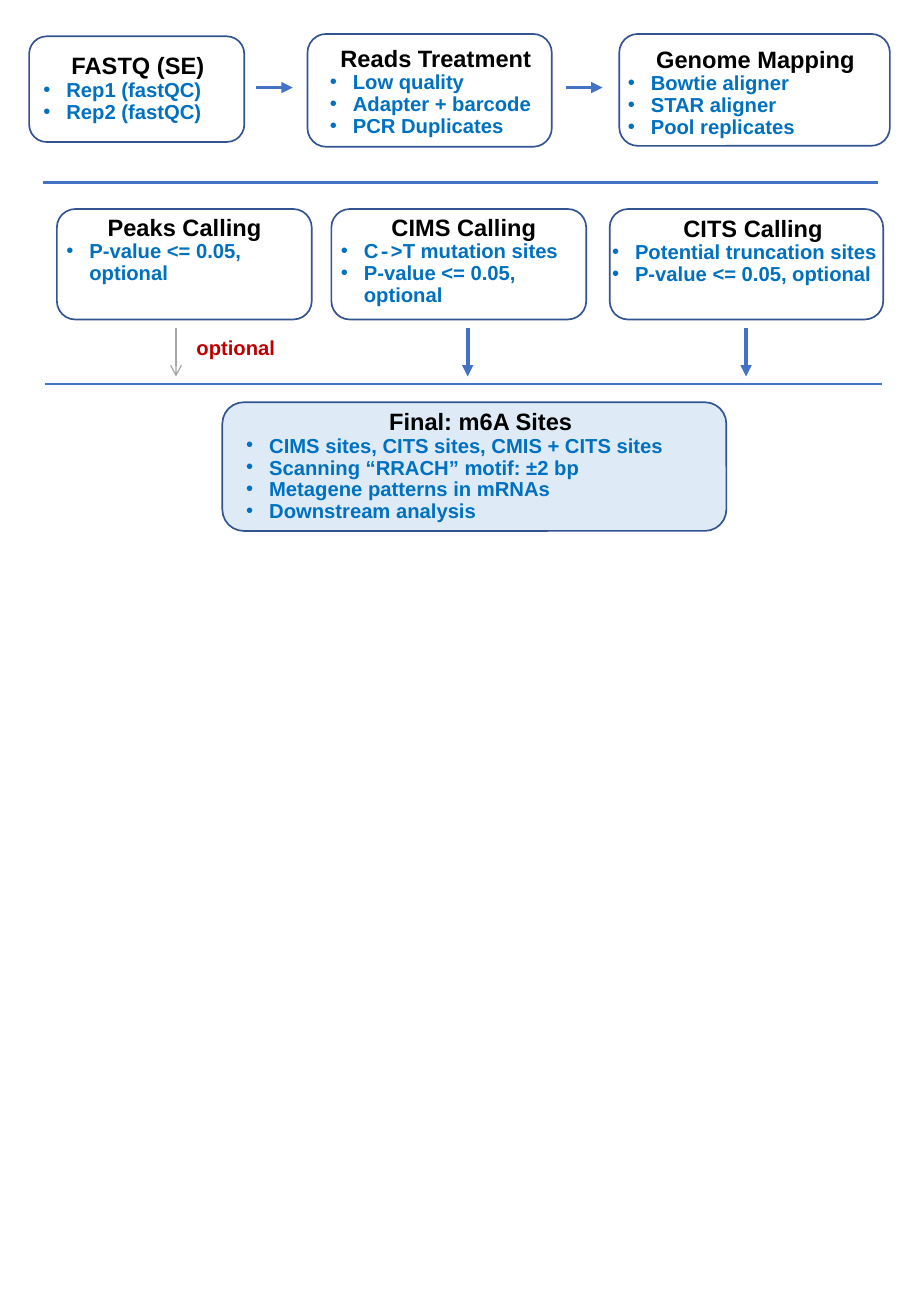
import pptx
import pptx.util
import pptx.dml.color
import pptx.enum.shapes
import pptx.enum.text
import pptx.oxml.ns
import lxml.etree

Cm = pptx.util.Cm
Pt = pptx.util.Pt
qn = pptx.oxml.ns.qn


def paint(target, colour):
    if hasattr(target, "solid"):
        target.solid()
        target = target.fore_color
    target.rgb = pptx.dml.color.RGBColor.from_string(colour)


def style(run, size, colour, font="Arial"):
    run.font.name = font
    run.font.size = Pt(size)
    run.font.bold = True
    paint(run.font.color, colour)


deck = pptx.Presentation()
deck.slide_width = Cm(19.05)
deck.slide_height = Cm(27.51)
slide = deck.slides.add_slide(deck.slide_layouts[6])

P_VALUE = "P-value <= 0.05, optional"
steps = [
    ("FASTQ (SE)", ["Rep1 (fastQC)", "Rep2 (fastQC)"],
     (0.61, 0.76, 4.5, 2.21), (0.66, 0.94, 4.45), None),
    ("Reads Treatment", ["Low quality", "Adapter + barcode", "PCR Duplicates"],
     (6.43, 0.71, 5.11, 2.36), (6.65, 0.79, 4.93), None),
    ("Genome Mapping", ["Bowtie aligner", "STAR aligner", "Pool replicates"],
     (12.95, 0.71, 5.66, 2.34), (12.88, 0.81, 5.84), None),
    ("Peaks Calling", [P_VALUE],
     (1.19, 4.37, 5.33, 2.31), (1.14, 4.32, 5.44), None),
    ("CIMS Calling", ["C->T mutation sites", P_VALUE],
     (6.93, 4.37, 5.33, 2.31), (6.88, 4.32, 5.64), None),
    ("CITS Calling", ["Potential truncation sites", P_VALUE],
     (12.75, 4.37, 5.72, 2.31), (12.55, 4.34, 6.4), None),
    ("Final: m6A Sites",
     ["CIMS sites, CITS sites, CMIS + CITS sites", "Scanning “RRACH” motif: ±2 bp",
      "Metagene patterns in mRNAs", "Downstream analysis"],
     (4.65, 8.41, 10.54, 2.69), (4.9, 8.38, 10.31), "DEEBF7"),
]

for heading, points, frame_place, text_place, tint in steps:
    frame = slide.shapes.add_shape(
        pptx.enum.shapes.MSO_SHAPE.ROUNDED_RECTANGLE, *map(Cm, frame_place))
    frame.shadow.inherit = False
    if tint:
        paint(frame.fill, tint)
    else:
        frame.fill.background()
    paint(frame.line.fill, "325491")
    frame.line.width = Pt(1)

    text_height = 0.85 + 0.46 * len(points)
    step_text = slide.shapes.add_textbox(*map(Cm, text_place), Cm(text_height)).text_frame
    step_text.word_wrap = True
    step_text.text = heading
    step_text.paragraphs[0].alignment = pptx.enum.text.PP_ALIGN.CENTER
    style(step_text.paragraphs[0].runs[0], 14, "000000")

    for point in points:
        bullet = step_text.add_paragraph()
        bullet.line_spacing = Pt(13)
        for piece in filter(None, point.partition("->")):
            run = bullet.add_run()
            run.text = piece
            style(run, 12, "0070C0", "Courier New" if piece == "->" else "Arial")
        properties = bullet._p.get_or_add_pPr()
        properties.set("marL", str(Cm(0.48)))
        properties.set("indent", str(-Cm(0.48)))
        lxml.etree.SubElement(properties, qn("a:buFont")).set("typeface", "Arial")
        lxml.etree.SubElement(properties, qn("a:buChar")).set("char", "•")

BLUE = "4472C4"
separators = [((0.89, 3.81, 18.36, 3.81), BLUE, 1.5, None),
              ((0.94, 8.03, 18.44, 8.03), BLUE, 1.5, None)]
next_steps = [((x, 1.83, x + 0.76, 1.83), BLUE, 2.25, "triangle") for x in (5.36, 11.84)]
to_sites = [((x, 6.86, x, 7.87), colour, width, head) for x, colour, width, head in (
    (3.68, "A5A5A5", 0.75, "arrow"),
    (9.78, BLUE, 2.25, "triangle"),
    (15.6, BLUE, 2.25, "triangle"))]

for ends, colour, width, head in separators + next_steps + to_sites:
    link = slide.shapes.add_connector(
        pptx.enum.shapes.MSO_CONNECTOR.STRAIGHT, *map(Cm, ends))
    paint(link.line.fill, colour)
    link.line.width = Pt(width)
    if head:
        lxml.etree.SubElement(link.line._get_or_add_ln(), qn("a:tailEnd")).set("type", head)
    lxml.etree.SubElement(link._element.spPr, qn("a:effectLst"))

optional_note = slide.shapes.add_textbox(Cm(3.86), Cm(6.88), Cm(2.18), Cm(0.76)).text_frame
optional_note.word_wrap = False
optional_note.text = "optional"
style(optional_note.paragraphs[0].runs[0], 12, "C00000")

deck.save("out.pptx")
